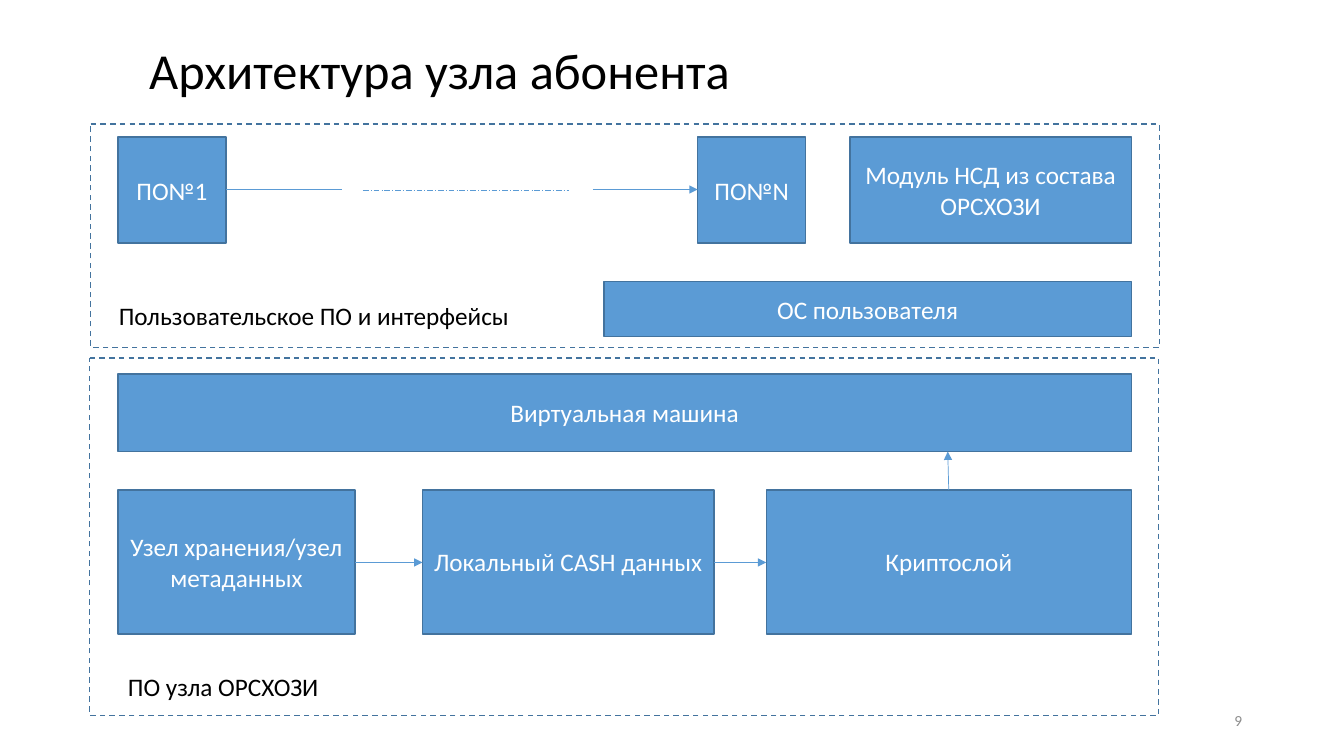
"""Build the slide with the architecture of a subscriber node."""
from lxml.etree import SubElement
from pptx import Presentation
from pptx.dml.color import RGBColor
from pptx.enum.dml import MSO_LINE as Dash
from pptx.enum.shapes import MSO_CONNECTOR as Link, MSO_SHAPE as Shape
from pptx.enum.text import MSO_ANCHOR as Anchor, MSO_AUTO_SIZE as Fit, PP_ALIGN as Align
from pptx.oxml.ns import qn
from pptx.util import Inches, Pt

HUES = {"fill": "5B9BD5", "edge": "43739E", "white": "FFFFFF", "black": "000000", "gray": "8C8C8C"}
LEFT, RIGHT = 1.17, 11.22
TOP, MID, LOW = (1.36, 1.05), (3.71, 0.77), (4.86, 1.43)


def write(shape, text, size, hue, align, anchor=Anchor.MIDDLE, wrap=True):
    frame = shape.text_frame
    frame.text = text
    frame.word_wrap = wrap
    frame.auto_size = Fit.NONE
    frame.vertical_anchor = anchor
    line = frame.paragraphs[0]
    line.alignment = align
    line.font.name = "Calibri"
    line.font.size = Pt(size)
    line.font.color.rgb = RGBColor.from_string(HUES[hue])


def block(x, y, w, h):
    shape = slide.shapes.add_shape(Shape.FLOWCHART_PROCESS, *map(Inches, (x, y, w, h)))
    shape.shadow.inherit = False
    shape.line.color.rgb = RGBColor.from_string(HUES["edge"])
    shape.line.width = Pt(1)
    return shape


deck = Presentation()
deck.slide_width, deck.slide_height = Inches(13.33), Inches(7.5)
slide = deck.slides.add_slide(deck.slide_layouts[5])

title = slide.shapes.title
title.left, title.top, title.width, title.height = map(Inches, (1.38, 0.4, 10.6, 0.66))
write(title, "Архитектура узла абонента", 36, "black", Align.LEFT)
title.text_frame.paragraphs[0].line_spacing = 0.9

for x, y, h in [(0.89, 3.55, 3.55), (0.9, 1.23, 2.22)]:
    zone = block(x, y, 10.6, h)
    zone.fill.background()
    zone.line.dash_style = Dash.DASH

blocks = [
    ("ПО№1", LEFT, 2.24, TOP),
    ("ПО№N", 6.92, 7.99, TOP),
    ("Модуль НСД из состава ОРСХОЗИ", 8.43, RIGHT, TOP),
    ("ОС пользователя", 5.99, RIGHT, (2.79, 0.55)),
    ("Виртуальная машина", LEFT, RIGHT, MID),
    ("Узел хранения/узел метаданных", LEFT, 3.52, LOW),
    ("Локальный CASH данных", 4.19, 7.08, LOW),
    ("Криптослой", 7.6, RIGHT, LOW),
]
for text, x, end, (y, h) in blocks:
    shape = block(x, y, end - x, h)
    shape.fill.solid()
    shape.fill.fore_color.rgb = RGBColor.from_string(HUES["fill"])
    write(shape, text, 18, "white", Align.CENTER)

links = [
    (2.24, 1.88, 3.39, 1.88, None, False),
    (3.6, 1.89, 5.64, 1.89, Dash.LONG_DASH_DOT, False),
    (5.88, 1.88, 6.92, 1.88, None, True),
    (3.52, 5.58, 4.19, 5.58, None, True),
    (7.08, 5.58, 7.6, 5.58, None, True),
    (9.41, 4.86, 9.4, 4.48, None, True),
]
for *ends, dash, arrow in links:
    link = slide.shapes.add_connector(Link.STRAIGHT, *map(Inches, ends))
    link.line.color.rgb = RGBColor.from_string(HUES["fill"])
    link.line.width = Pt(0.5)
    if dash:
        link.line.dash_style = dash
    if arrow:
        SubElement(link.line._get_or_add_ln(), qn("a:tailEnd"), type="triangle")
    SubElement(link._element.spPr, qn("a:effectLst"))

notes = [
    ("Пользовательское ПО и интерфейсы", 1.08, 2.93, 4.56, 18, "black", Align.LEFT, Anchor.TOP, False),
    ("ПО узла ОРСХОЗИ", LEFT, 6.61, 2.55, 18, "black", Align.LEFT, Anchor.TOP, False),
    ("9", 9.42, 6.95, 3, 11, "gray", Align.RIGHT, Anchor.MIDDLE, True),
]
for text, x, y, w, *style in notes:
    label = slide.shapes.add_textbox(*map(Inches, (x, y, w, 0.4)))
    write(label, text, *style)

deck.save("out.pptx")
